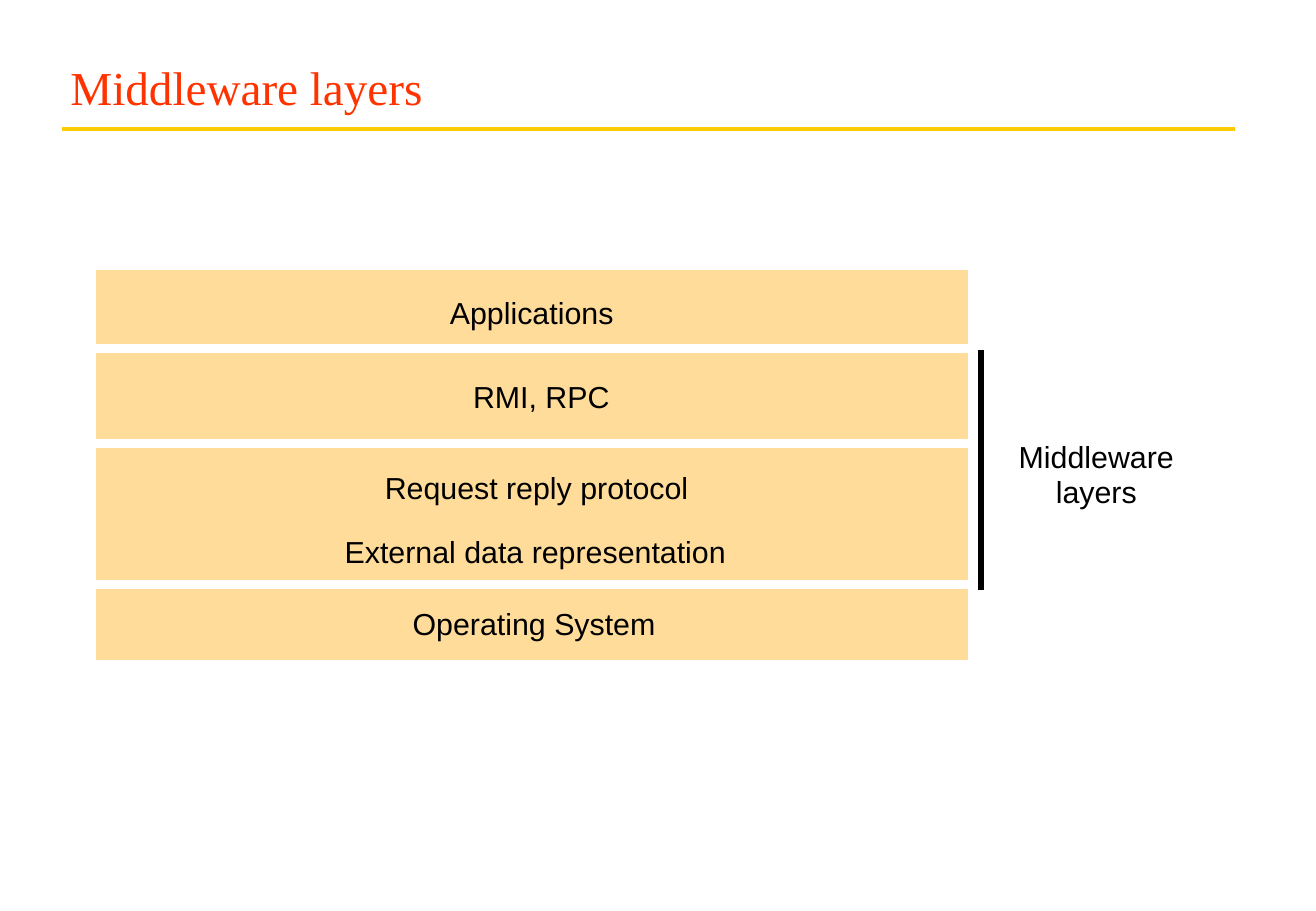
from typing import NamedTuple

from lxml.etree import SubElement
from pptx import Presentation
from pptx.dml.color import RGBColor
from pptx.enum.shapes import MSO_CONNECTOR as Connector, MSO_SHAPE as Preset
from pptx.enum.text import MSO_ANCHOR as Anchor, MSO_AUTO_SIZE as AutoSize, PP_ALIGN as Align
from pptx.oxml.ns import qn
from pptx.util import Inches, Pt

RED = RGBColor(0xFF, 0x33, 0x00)
GOLD = RGBColor(0xFF, 0xCC, 0x00)
PEACH = RGBColor(0xFF, 0xDC, 0x99)
WHITE = RGBColor(0xFF, 0xFF, 0xFF)
BLACK = RGBColor(0x00, 0x00, 0x00)

COLUMNS, ROWS = 1084, 750
CELL = Inches(10.84) // COLUMNS


class Box(NamedTuple):
    left: int
    top: int
    width: int
    height: int

    def inner(self, left, top, width, height):
        return Box(self.left + left, self.top + top, width, height)

    def lengths(self):
        return [value * CELL for value in self]


def add_run(paragraph, text, font, size, color):
    run = paragraph.add_run()
    run.text = text
    run.font.name = font
    run.font.size = Pt(size)
    run.font.color.rgb = color


def add_label(slide, box, lines):
    frame = slide.shapes.add_textbox(*box.lengths()).text_frame
    frame.margin_left = frame.margin_right = frame.margin_top = frame.margin_bottom = 0
    frame.word_wrap = True
    frame.auto_size = AutoSize.NONE
    for index, line in enumerate(lines):
        paragraph = frame.paragraphs[0] if index == 0 else frame.add_paragraph()
        paragraph.alignment = Align.CENTER
        if len(lines) > 1:
            paragraph.line_spacing = Pt(20.2)
        add_run(paragraph, line, "Arial", 18, BLACK)


def add_rule(slide, box, color, width):
    left, top, across, down = box.lengths()
    rule = slide.shapes.add_connector(Connector.STRAIGHT, left, top, left + across, top + down)
    rule.line.color.rgb = color
    rule.line.width = Pt(width)
    SubElement(rule._element.spPr, qn("a:effectLst"))


def add_panel(slide, box):
    shape = slide.shapes.add_shape(Preset.RECTANGLE, *box.lengths())
    shape.shadow.inherit = False
    shape.fill.solid()
    shape.fill.fore_color.rgb = PEACH
    shape.line.color.rgb = WHITE
    shape.line.width = Pt(5.61)


def add_header(slide, box, text):
    title = slide.shapes.title
    title.left, title.top, title.width, title.height = box.lengths()
    frame = title.text_frame
    frame.auto_size = AutoSize.NONE
    frame.vertical_anchor = Anchor.BOTTOM
    paragraph = frame.paragraphs[0]
    paragraph.alignment = Align.LEFT
    add_run(paragraph, text, "Times New Roman", 28, RED)
    add_rule(slide, box.inner(3, 81, 966, 0), GOLD, 2.25)


def add_layer_stack(slide, box):
    panels = [(0, 329), (141, 122), (69, 78)]
    labels = [
        ("Applications", 363, 24),
        ("RMI, RPC", 371, 93),
        ("Request reply protocol", 367, 168),
        ("External data representation", 366, 221),
        ("Operating System", 365, 280),
    ]
    label_width = 360
    for top, height in panels:
        add_panel(slide, box.inner(0, top, box.width, height))
    for text, center, top in labels:
        add_label(slide, box.inner(center - label_width // 2, top, label_width, 30), [text])


def add_middleware_bracket(slide, box):
    add_rule(slide, box.inner(0, 0, 0, box.height), BLACK, 3.37)
    add_label(slide, box.inner(21, 75, 148, 58), ["Middleware", "layers"])


def main():
    presentation = Presentation()
    presentation.slide_width = COLUMNS * CELL
    presentation.slide_height = ROWS * CELL
    slide = presentation.slides.add_slide(presentation.slide_layouts[5])
    add_header(slide, Box(48, 25, 972, 75), "Middleware layers")
    add_layer_stack(slide, Box(75, 218, 726, 329))
    add_middleware_bracket(slide, Box(808, 288, 170, 198))
    presentation.save("out.pptx")


if __name__ == "__main__":
    main()
